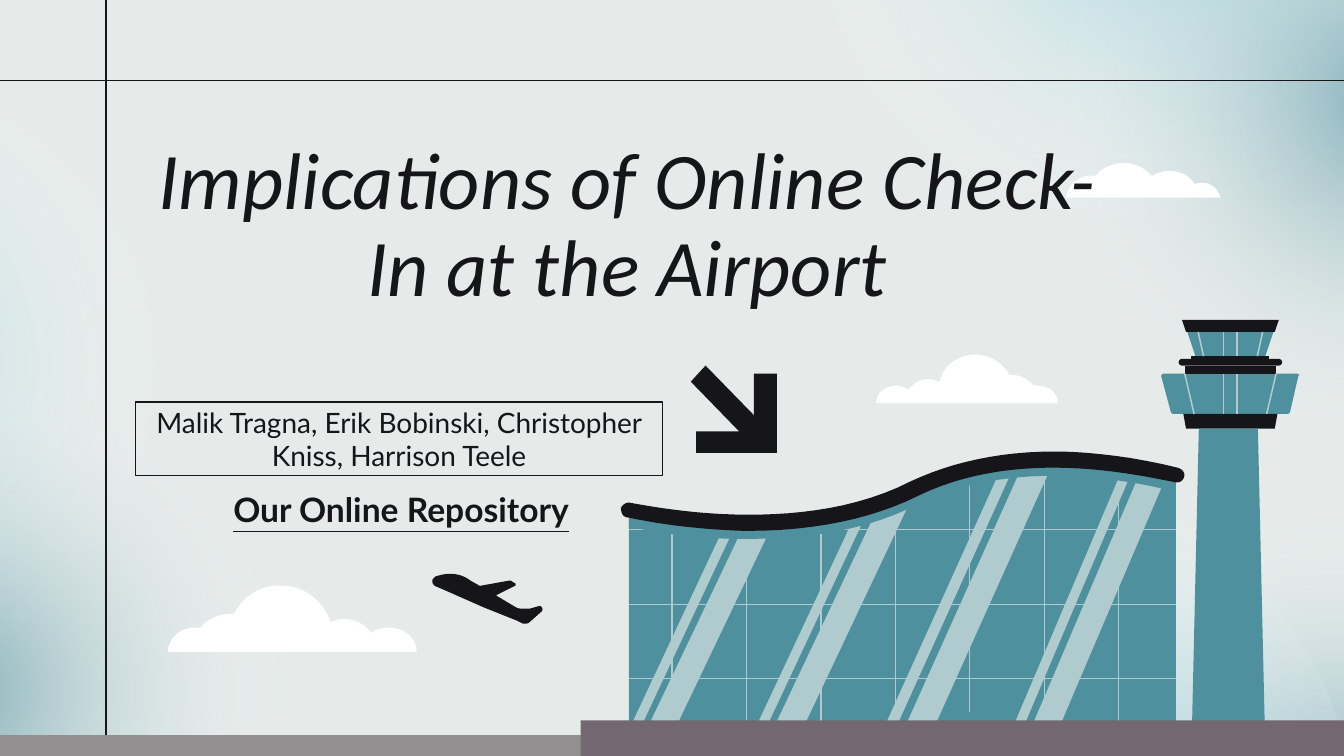
from dataclasses import dataclass
from typing import Optional, Sequence

from lxml import etree
from pptx import Presentation
from pptx.dml.color import RGBColor
from pptx.enum.shapes import MSO_CONNECTOR, MSO_SHAPE
from pptx.enum.text import MSO_ANCHOR, PP_ALIGN
from pptx.oxml import parse_xml
from pptx.oxml.ns import nsdecls, qn
from pptx.util import Inches, Pt

INK = RGBColor(0x16, 0x15, 0x19)
TEAL = RGBColor(0x4E, 0x90, 0x9E)
SKY = RGBColor(0x80, 0xC8, 0xD8)
GLASS = RGBColor(0xB0, 0xCB, 0xCE)
WHITE = RGBColor(0xFF, 0xFF, 0xFF)
PAPER = RGBColor(0xE6, 0xEB, 0xE9)
ASPHALT = RGBColor(0x91, 0x8F, 0x8F)
APRON = RGBColor(0x73, 0x68, 0x71)

WIDTH = 10
HEIGHT = WIDTH * 9 / 16
AXIS = 9.155  # vertical centre line of the control tower
CURVE_STEPS = 12


@dataclass
class Glow:
    left: float
    top: float
    rotation: float
    color: RGBColor
    opacity: int


@dataclass
class Tier:
    """Part of the tower, symmetrical about its axis."""
    top: float
    bottom: float
    half_top: float
    half_bottom: float
    color: RGBColor
    axis: float = AXIS


@dataclass
class Caption:
    text: str
    box: tuple
    font: str
    size: float
    bold: bool = False
    italic: bool = False
    underline: bool = False
    anchor: MSO_ANCHOR = MSO_ANCHOR.MIDDLE
    spacing: float = 1.0
    border: Optional[RGBColor] = None


GLOWS = [
    Glow(7.31, 4.07, 237.1, TEAL, 81), Glow(5.1, 3.68, 237.1, SKY, 68),
    Glow(-3.95, 0.41, 202, SKY, 68), Glow(-3.01, 2.84, 202, TEAL, 68),
    Glow(6.04, -3.08, 149, SKY, 68), Glow(7.77, -1.57, 149, TEAL, 68),
]

# Outlines: a pair is a corner, six numbers are a cubic curve
CLOUDS = [
    [(2.89, 4.67), (2.85, 4.67, 2.8, 4.68, 2.76, 4.71), (2.69, 4.61, 2.56, 4.58, 2.46, 4.63),
     (2.41, 4.48, 2.28, 4.37, 2.12, 4.36), (1.96, 4.34, 1.81, 4.43, 1.74, 4.57), (1.71, 4.57),
     (1.62, 4.57, 1.54, 4.61, 1.49, 4.67), (1.45, 4.67), (1.34, 4.67, 1.25, 4.75, 1.25, 4.85),
     (3.1, 4.85), (3.1, 4.75, 3.01, 4.67, 2.89, 4.67)],
    [(6.67, 2.87), (6.7, 2.87, 6.73, 2.88, 6.76, 2.9), (6.8, 2.85, 6.85, 2.82, 6.91, 2.82),
     (6.93, 2.82, 6.96, 2.83, 6.99, 2.84), (7.02, 2.73, 7.11, 2.65, 7.23, 2.64),
     (7.34, 2.63, 7.46, 2.69, 7.51, 2.79), (7.53, 2.79), (7.59, 2.79, 7.65, 2.82, 7.69, 2.87),
     (7.72, 2.87), (7.8, 2.87, 7.87, 2.92, 7.87, 3), (6.52, 3), (6.52, 2.92, 6.59, 2.87, 6.67, 2.87)],
    [(9.08, 1.47), (7.93, 1.47), (7.95, 1.36, 8.05, 1.29, 8.15, 1.31),
     (8.26, 1.18, 8.46, 1.18, 8.57, 1.31), (8.68, 1.24, 8.83, 1.27, 8.89, 1.37),
     (8.97, 1.34, 9.06, 1.38, 9.08, 1.47)],
]
ARROW = [(5.25, 2.72), (5.14, 2.84), (5.5, 3.21), (5.18, 3.21), (5.18, 3.37), (5.78, 3.37),
         (5.78, 2.78), (5.61, 2.78), (5.61, 3.09)]
GALLERY = [(8.73, 3.08), (9.58, 3.08), (9.59, 3.08, 9.6, 3.07, 9.6, 3.06), (9.66, 2.8),
           (9.67, 2.79, 9.66, 2.78, 9.65, 2.78), (8.66, 2.78), (8.65, 2.78, 8.64, 2.79, 8.64, 2.8),
           (8.71, 3.06), (8.71, 3.07, 8.72, 3.08, 8.73, 3.08)]
FACADE = [(4.68, 3.8), (4.68, 5.38), (8.75, 5.38), (8.75, 3.54), (8.36, 3.44, 7.51, 3.29, 6.81, 3.64),
          (5.98, 4.04, 4.93, 3.85, 4.68, 3.8)]
EAVES = [(7.84, 3.43), (7.9, 3.43), (8.24, 3.43, 8.55, 3.49, 8.75, 3.54), (8.75, 3.66),
         (8.55, 3.61, 8.22, 3.54, 7.84, 3.54), (7.52, 3.54, 7.16, 3.59, 6.83, 3.75),
         (6.49, 3.93, 6.06, 4.01, 5.57, 4.01), (5.53, 4.01), (5.24, 4.01, 4.96, 3.98, 4.68, 3.92),
         (4.68, 3.8), (4.8, 3.83, 5.15, 3.9, 5.57, 3.9), (5.95, 3.9, 6.39, 3.84, 6.78, 3.65),
         (7.08, 3.5, 7.44, 3.43, 7.84, 3.43)]
ROOF = [(7.84, 3.36), (7.9, 3.36), (8.25, 3.37, 8.56, 3.43, 8.76, 3.48), (8.8, 3.49, 8.82, 3.52, 8.81, 3.55),
        (8.8, 3.58, 8.78, 3.59, 8.75, 3.59), (8.55, 3.55, 8.22, 3.48, 7.84, 3.48),
        (7.51, 3.48, 7.16, 3.53, 6.83, 3.69), (6.49, 3.86, 6.06, 3.95, 5.57, 3.95), (5.53, 3.95),
        (5.24, 3.94, 4.95, 3.91, 4.67, 3.85), (4.64, 3.85, 4.62, 3.82, 4.62, 3.78),
        (4.63, 3.76, 4.65, 3.74, 4.68, 3.74), (4.8, 3.76, 5.15, 3.83, 5.57, 3.83),
        (5.95, 3.83, 6.39, 3.78, 6.78, 3.58), (7.08, 3.44, 7.44, 3.36, 7.84, 3.36)]
PLANE = [(3.35, 4.27), (3.41, 4.27, 3.46, 4.29, 3.5, 4.32), (3.57, 4.36), (3.79, 4.32), (3.8, 4.32),
         (3.83, 4.34), (3.84, 4.34, 3.84, 4.36, 3.83, 4.36), (3.69, 4.43), (3.84, 4.52),
         (3.86, 4.53, 3.88, 4.53, 3.9, 4.53), (3.94, 4.53), (4.01, 4.51), (4.02, 4.51),
         (4.04, 4.52, 4.04, 4.54, 4.03, 4.55), (3.94, 4.63), (3.93, 4.64, 3.92, 4.64, 3.91, 4.64),
         (3.89, 4.64), (3.85, 4.62), (3.6, 4.52), (3.26, 4.37), (3.22, 4.36, 3.21, 4.33, 3.22, 4.31),
         (3.24, 4.29), (3.27, 4.28, 3.31, 4.27, 3.35, 4.27)]

TIERS = [
    Tier(3.08, 3.19, 0.35, 0.33, INK), Tier(3.19, 5.38, 0.22, 0.27, TEAL, axis=9.14),
    Tier(2.72, 2.78, 0.34, 0.34, INK), Tier(2.47, 2.65, 0.32, 0.26, TEAL),
    Tier(2.38, 2.47, 0.36, 0.33, INK), Tier(2.65, 2.7, 0.29, 0.29, INK),
]
# Window bars: top, bottom, offset from the axis at the top and at the bottom
TOWER_BARS = [(2.47, 2.65, 0.24, 0.2), (2.47, 2.65, 0.05, 0.05),
              (2.78, 3.08, 0.34, 0.27), (2.78, 3.08, 0.05, 0.05)]
# Reflections: bottom left x and y, top left x and y, width, drop
REFLECTIONS = [
    (7.68, 5.4, 8.52, 3.43, 0.19, 0.04), (7.55, 5.38, 8.39, 3.4, 0.07, 0.02),
    (6.72, 5.44, 7.61, 3.46, 0.2, 0.04), (6.58, 5.41, 7.47, 3.44, 0.08, 0.02),
    (5.67, 5.6, 6.55, 3.74, 0.2, 0.04), (5.54, 5.59, 6.37, 3.82, 0.07, 0.02),
    (4.73, 5.6, 5.56, 3.86, 0.19, 0.04), (4.61, 5.58, 5.43, 3.83, 0.07, 0.02),
]
MULLION_TOPS = [3.85, 3.85, 3.81, 3.71, 3.58, 3.51, 3.54]

CAPTIONS = [
    Caption("Implications of Online Check-In at the Airport", (1.01, 0.65, 7.31, 2.08),
            "Calibri", 43, italic=True, spacing=0.9),
    Caption("Malik Tragna, Erik Bobinski, Christopher Kniss, Harrison Teele",
            (1.01, 2.99, 3.92, 0.55), "Lato", 15, border=INK),
    Caption("Our Online Repository", (1.47, 3.54, 3.03, 0.55), "Lato", 18,
            bold=True, underline=True, anchor=MSO_ANCHOR.TOP),
]


def paint(shape, color: RGBColor) -> None:
    shape.shadow.inherit = False
    shape.fill.solid()
    shape.fill.fore_color.rgb = color
    shape.line.fill.background()


def draw_block(shapes, kind: MSO_SHAPE, box: Sequence[float], color: RGBColor):
    block = shapes.add_shape(kind, *map(Inches, box))
    paint(block, color)
    return block


def draw_outline(shapes, outline: Sequence[tuple], color: RGBColor) -> None:
    points = [outline[0]]
    for step in outline[1:]:
        if len(step) == 2:
            points.append(step)
            continue
        controls = [points[-1], step[:2], step[2:4], step[4:]]
        for i in range(1, CURVE_STEPS + 1):
            t = i / CURVE_STEPS
            weights = ((1 - t) ** 3, 3 * t * (1 - t) ** 2, 3 * t * t * (1 - t), t ** 3)
            points.append(tuple(sum(w * c[k] for w, c in zip(weights, controls)) for k in (0, 1)))
    corners = [(Inches(x), Inches(y)) for x, y in points]
    builder = shapes.build_freeform(*corners[0])
    builder.add_line_segments(corners[1:], close=True)
    paint(builder.convert_to_shape(), color)


def draw_line(shapes, x1: float, y1: float, x2: float, y2: float, color: RGBColor, weight: float) -> None:
    line = shapes.add_connector(MSO_CONNECTOR.STRAIGHT, *map(Inches, (x1, y1, x2, y2)))
    line.line.color.rgb = color
    line.line.width = Pt(weight)
    etree.SubElement(line._element.spPr, qn("a:effectLst"))


def draw_glow(shapes, glow: Glow) -> None:
    ellipse = draw_block(shapes, MSO_SHAPE.OVAL, (glow.left, glow.top, 5.22, 4.6), glow.color)
    ellipse.rotation = glow.rotation
    stops = "".join(
        f'<a:gs pos="{pos * 1000}"><a:srgbClr val="{color}"><a:alpha val="{alpha * 1000}"/></a:srgbClr></a:gs>'
        for pos, color, alpha in ((0, glow.color, glow.opacity), (58, WHITE, 0), (100, WHITE, 0)))
    gradient = parse_xml(
        f'<a:gradFill {nsdecls("a")} rotWithShape="1"><a:gsLst>{stops}</a:gsLst><a:path path="circle">'
        '<a:fillToRect l="50000" t="50000" r="50000" b="50000"/></a:path></a:gradFill>')
    properties = ellipse._element.spPr
    properties.replace(properties.find(qn("a:solidFill")), gradient)


def draw_caption(shapes, caption: Caption) -> None:
    box = shapes.add_textbox(*map(Inches, caption.box))
    if caption.border is not None:
        box.line.color.rgb = caption.border
        box.line.width = Pt(0.75)
    frame = box.text_frame
    frame.word_wrap = True
    frame.vertical_anchor = caption.anchor
    frame.margin_left = frame.margin_right = frame.margin_top = frame.margin_bottom = Inches(0.1)
    frame.text = caption.text
    paragraph = frame.paragraphs[0]
    paragraph.alignment = PP_ALIGN.CENTER
    paragraph.line_spacing = caption.spacing
    font = paragraph.runs[0].font
    font.name, font.size, font.color.rgb = caption.font, Pt(caption.size), INK
    font.bold, font.italic, font.underline = caption.bold, caption.italic, caption.underline


def draw_tower(shapes) -> None:
    draw_outline(shapes, GALLERY, TEAL)
    for tier in TIERS:
        draw_outline(shapes, [(tier.axis - tier.half_top, tier.top), (tier.axis + tier.half_top, tier.top),
                              (tier.axis + tier.half_bottom, tier.bottom),
                              (tier.axis - tier.half_bottom, tier.bottom)], tier.color)
    railing = draw_block(shapes, MSO_SHAPE.ROUNDED_RECTANGLE, (8.77, 2.67, 0.77, 0.05), INK)
    railing.adjustments[0] = 0.5
    for top, bottom, offset_top, offset_bottom in TOWER_BARS:
        for side in (-1, 1):
            draw_line(shapes, AXIS + side * offset_top, top, AXIS + side * offset_bottom, bottom, GLASS, 0.83)


def draw_terminal(shapes) -> None:
    draw_outline(shapes, FACADE, TEAL)
    for x, bottom, x_top, top, width, drop in REFLECTIONS:
        draw_outline(shapes, [(x, bottom), (x + width, bottom + drop),
                              (x_top + width, top + drop), (x_top, top)], GLASS)
    for i, top in enumerate(MULLION_TOPS):
        x = 5 + i * 0.554
        draw_line(shapes, x, top, x, 5.3 if i == 4 else 5.43, GLASS, 0.67)
    for y in (5.05, 4.5, 3.94):
        draw_line(shapes, 4.68, y, 8.75, y, GLASS, 0.67)
    draw_block(shapes, MSO_SHAPE.RECTANGLE, (4.32, 5.36, WIDTH - 4.32, HEIGHT - 5.36), APRON)
    draw_outline(shapes, EAVES, TEAL)
    draw_outline(shapes, ROOF, INK)


def main() -> None:
    deck = Presentation()
    deck.slide_width, deck.slide_height = Inches(WIDTH), Inches(HEIGHT)
    slide = deck.slides.add_slide(deck.slide_layouts[6])
    slide.background.fill.solid()
    slide.background.fill.fore_color.rgb = PAPER
    shapes = slide.shapes

    # Sky, frame lines, clouds and runway
    for glow in GLOWS:
        draw_glow(shapes, glow)
    draw_line(shapes, 0.79, 0, 0.79, HEIGHT, INK, 0.75)
    draw_line(shapes, 0, 0.6, WIDTH, 0.6, INK, 0.75)
    for cloud in CLOUDS:
        draw_outline(shapes, cloud, WHITE)
    draw_block(shapes, MSO_SHAPE.RECTANGLE, (0, 5.47, WIDTH, HEIGHT - 5.47), ASPHALT)

    # Title, authors and repository
    for caption in CAPTIONS:
        draw_caption(shapes, caption)

    # Airport
    draw_outline(shapes, ARROW, INK)
    draw_tower(shapes)
    draw_terminal(shapes)
    draw_outline(shapes, PLANE, INK)

    deck.save("out.pptx")


if __name__ == "__main__":
    main()
